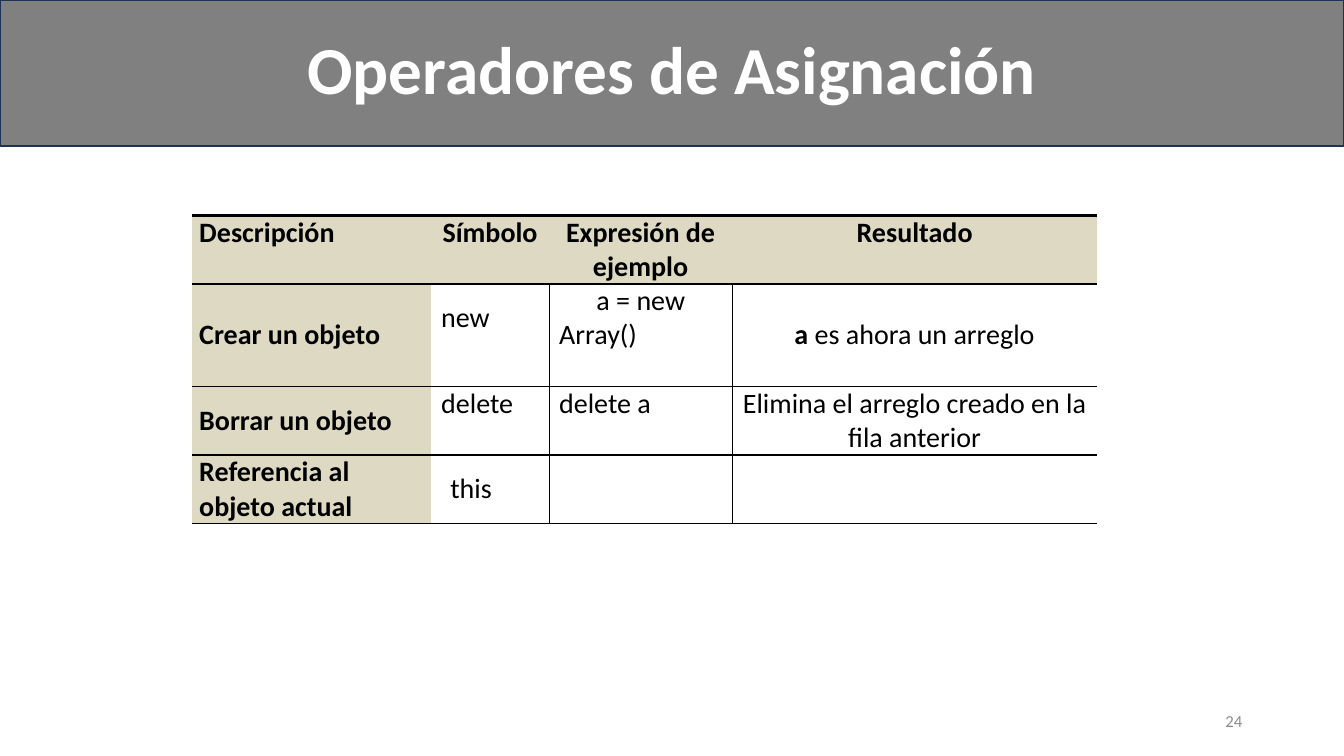
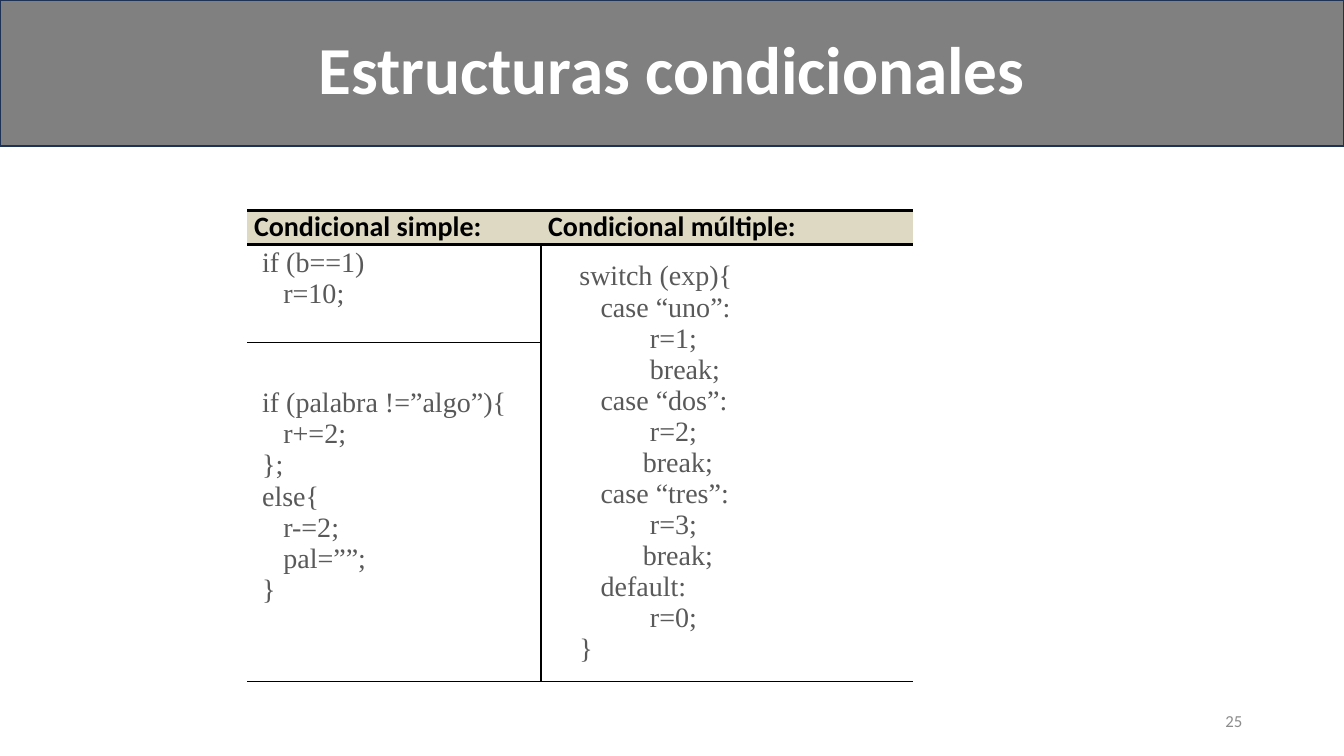
import pptx
import pptx.util
import pptx.dml.color
import pptx.enum.text
import pptx.oxml.ns
import lxml.etree

RGBColor = pptx.dml.color.RGBColor
BLACK = RGBColor(0, 0, 0)
WHITE = RGBColor(255, 255, 255)
GRAY = RGBColor(0x80, 0x80, 0x80)
NAVY = RGBColor(0x1E, 0x32, 0x56)
SAND = RGBColor(0xDD, 0xD9, 0xC3)
PALE = RGBColor(0x8C, 0x8C, 0x8C)
DARK = RGBColor(0x59, 0x59, 0x59)

ALIGN = pptx.enum.text.PP_ALIGN
MIDDLE = pptx.enum.text.MSO_ANCHOR.MIDDLE
TOP = pptx.enum.text.MSO_ANCHOR.TOP
Inches = pptx.util.Inches

WIDTH, HEIGHT = 13.33, 7.5
LINE = 4.53
CODE = 4.11
SPACE = 0.07
THICK, THIN = 2.25, 1

SIMPLE = [(0, "if (b==1)"), (3, "r=10;")]
BRANCH = [
    (0, "if (palabra !=”algo”){"),
    (3, "r+=2;"),
    (0, "};"),
    (0, "else{"),
    (3, "r-=2;"),
    (3, "pal=””;"),
    (0, "}"),
]
SWITCH = [
    (0, "switch (exp){"),
    (3, "case “uno”:"),
    (10, "r=1;"),
    (10, "break;"),
    (3, "case “dos”:"),
    (10, "r=2;"),
    (9, "break;"),
    (3, "case “tres”:"),
    (10, "r=3;"),
    (9, "break;"),
    (3, "default:"),
    (10, "r=0;"),
    (0, "}"),
]


def wide(share):
    return Inches(WIDTH * share / 100)


def high(share):
    return Inches(HEIGHT * share / 100)


def write(para, text, size=20, font="Calibri", color=BLACK, bold=False,
          align=ALIGN.LEFT, left=0, first=0):
    para.alignment = align
    if left or first:
        props = para._p.get_or_add_pPr()
        props.set("marL", str(Inches(left)))
        props.set("indent", str(Inches(first)))
    run = para.add_run()
    run.text = text
    run.font.size = pptx.util.Pt(size)
    run.font.name = font
    run.font.bold = bold
    run.font.color.rgb = color


def edge(cell, side, width):
    props = cell._tc.get_or_add_tcPr()
    line = lxml.etree.SubElement(props, pptx.oxml.ns.qn("a:ln" + side))
    line.set("w", str(pptx.util.Pt(width)))
    if not width:
        lxml.etree.SubElement(line, pptx.oxml.ns.qn("a:noFill"))
        return
    fill = lxml.etree.SubElement(line, pptx.oxml.ns.qn("a:solidFill"))
    tone = lxml.etree.SubElement(fill, pptx.oxml.ns.qn("a:srgbClr"))
    tone.set("val", str(BLACK))


def style(cell, row, col, last, start, tint):
    edge(cell, "L", THIN if row and col > start else 0)
    edge(cell, "R", THIN if row and start <= col < last else 0)
    edge(cell, "T", THICK if row < 2 else THIN)
    edge(cell, "B", THIN if row else THICK)
    if tint:
        cell.fill.solid()
        cell.fill.fore_color.rgb = SAND
    else:
        cell.fill.background()
    cell.margin_left = cell.margin_right = Inches(SPACE)
    cell.margin_top = cell.margin_bottom = 0
    cell.vertical_anchor = MIDDLE if row else TOP


def add_grid(slide, left, top, cols, rows, start, side=False):
    frame = slide.shapes.add_table(
        len(rows), len(cols), wide(left), high(top), wide(sum(cols)), high(sum(rows)))
    table = frame.table
    table.first_row = table.horz_banding = False
    for col, share in enumerate(cols):
        table.columns[col].width = wide(share)
    for row, share in enumerate(rows):
        table.rows[row].height = high(share)
        for col in range(len(cols)):
            style(table.cell(row, col), row, col, len(cols) - 1, start,
                  not row or side and not col)
    return table


def put(cell, text, drop=0, **form):
    cell.margin_bottom = high(drop)
    write(cell.text_frame.paragraphs[0], text, **form)


def put_code(cell, lines, base, drop=0):
    cell.margin_bottom = high(drop)
    frame = cell.text_frame
    for index, (depth, text) in enumerate(lines):
        para = frame.add_paragraph() if index else frame.paragraphs[0]
        write(para, text, font="Times New Roman", color=DARK,
              left=base + depth * SPACE)


def add_page(deck, title, number):
    slide = deck.slides.add_slide(deck.slide_layouts[5])
    band = slide.shapes.title
    band.left, band.top, band.width, band.height = 0, 0, wide(100), high(19.33)
    band.fill.solid()
    band.fill.fore_color.rgb = GRAY
    band.line.color.rgb = NAVY
    band.line.width = pptx.util.Pt(1)
    band.text_frame.vertical_anchor = MIDDLE
    para = band.text_frame.paragraphs[0]
    para.line_spacing = 0.9
    write(para, title, size=48, color=WHITE, bold=True, align=ALIGN.CENTER)
    box = slide.shapes.add_textbox(wide(70.67), high(92.67), wide(22.5), high(5.33))
    box.text_frame.word_wrap = True
    box.text_frame.vertical_anchor = MIDDLE
    write(box.text_frame.paragraphs[0], str(number), size=12, color=PALE,
          align=ALIGN.RIGHT)
    return slide


def add_signs(deck):
    slide = add_page(deck, "Operadores de Asignación", 24)
    table = add_grid(slide, 14.3, 28.5, [17.78, 8.78, 13.62, 27.16],
                     [LINE * count for count in (2, 3, 2, 2)], 1, side=True)
    heads = ["Descripción", "Símbolo", "Expresión de ejemplo", "Resultado"]
    for col, text in enumerate(heads):
        put(table.cell(0, col), text, bold=True,
            align=ALIGN.CENTER if col else ALIGN.LEFT)
    names = ["Crear un objeto", "Borrar un objeto", "Referencia al objeto actual"]
    for row, text in enumerate(names, 1):
        put(table.cell(row, 0), text, bold=True)
    put(table.cell(1, 1), "new", drop=LINE, left=0.03)
    put(table.cell(1, 2), "a = new Array()", drop=LINE, left=0.03, first=0.37)
    put(table.cell(1, 3), "a", bold=True, align=ALIGN.CENTER)
    write(table.cell(1, 3).text_frame.paragraphs[0], " es ahora un arreglo",
          align=ALIGN.CENTER)
    put(table.cell(2, 1), "delete", drop=LINE, left=0.03)
    put(table.cell(2, 2), "delete a", drop=LINE, left=0.03)
    put(table.cell(2, 3), "Elimina el arreglo creado en la fila anterior",
        align=ALIGN.CENTER)
    put(table.cell(3, 1), "this", left=0.12)


def add_tests(deck):
    slide = add_page(deck, "Estructuras condicionales", 25)
    table = add_grid(slide, 18.38, 27.8, [21.88, 27.68],
                     [LINE, CODE * 3, CODE * 10], 0)
    table.cell(1, 1).merge(table.cell(2, 1))
    for col, text in enumerate(["Condicional simple:", "Condicional múltiple:"]):
        put(table.cell(0, col), text, bold=True)
    put_code(table.cell(1, 0), SIMPLE, 0.08, drop=CODE)
    put_code(table.cell(2, 0), BRANCH, 0.08, drop=CODE)
    put_code(table.cell(1, 1), SWITCH, 0.31)


def main():
    deck = pptx.Presentation()
    deck.slide_width, deck.slide_height = wide(100), high(100)
    add_signs(deck)
    add_tests(deck)
    deck.save("out.pptx")


if __name__ == "__main__":
    main()
